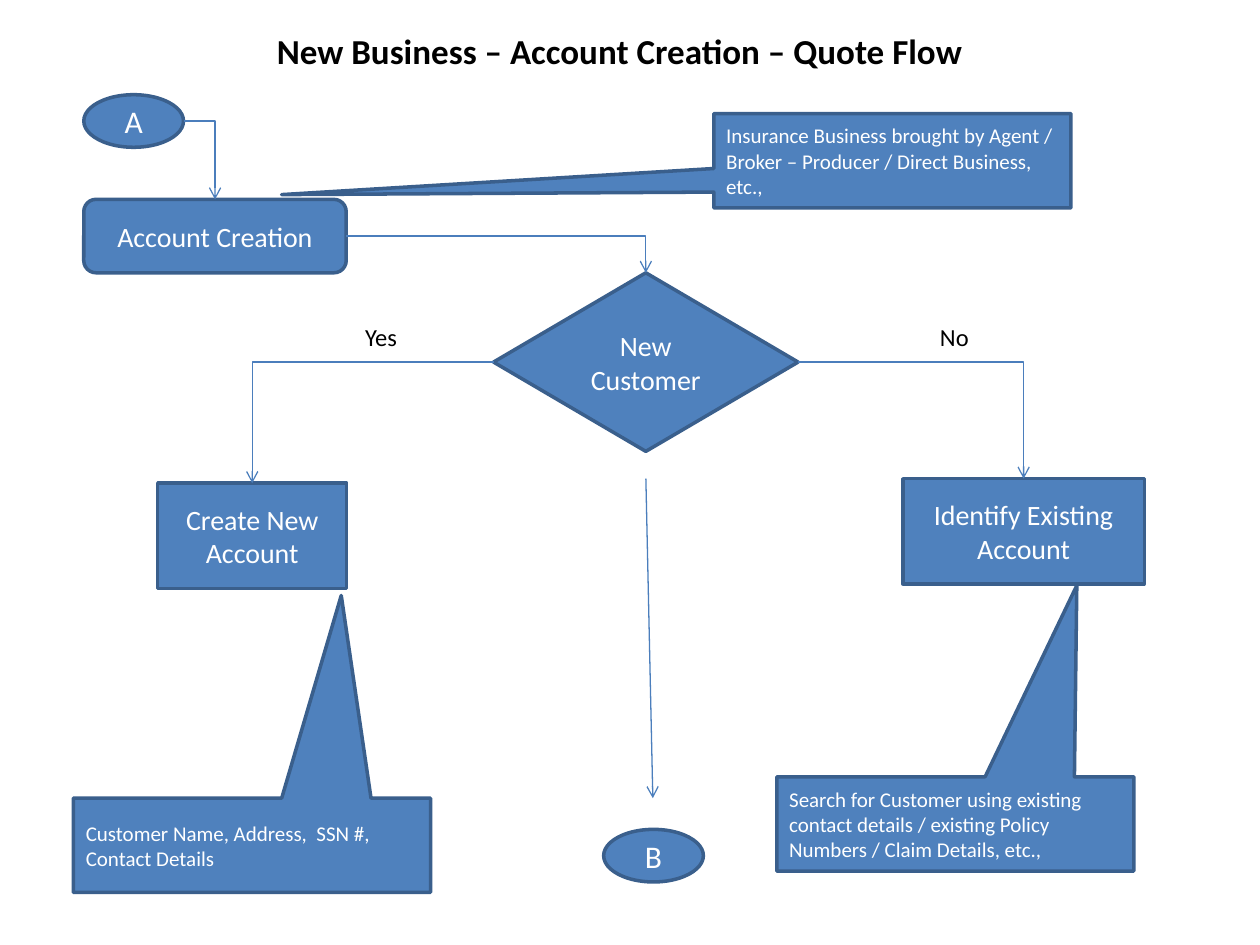
from lxml import etree
from pptx import Presentation
from pptx.dml.color import RGBColor
from pptx.enum.shapes import MSO_CONNECTOR, MSO_SHAPE
from pptx.enum.text import MSO_ANCHOR, PP_ALIGN
from pptx.oxml.ns import qn
from pptx.util import Cm, Pt

COLORS = {
    "fill": "4F81BD",
    "border": "3A5F8C",
    "arrow": "4B7EBC",
    "light": "FFFFFF",
    "dark": "000000",
}
FONT = "Calibri"
TOP, LEFT, RIGHT = 0, 1, 3  # connection sites of a box


def rgb(name):
    """Return the named colour."""
    return RGBColor.from_string(COLORS[name])


class FlowSlide:
    """Draws flowchart elements on one slide in one style."""

    def __init__(self, prs):
        """Add a title-only slide."""
        self.s = prs.slides.add_slide(prs.slide_layouts[5])

    def set_text(self, tf, text, size, color="light", align=PP_ALIGN.CENTER, bold=False):
        """Put one formatted paragraph in a text frame."""
        tf.word_wrap = True
        tf.vertical_anchor = MSO_ANCHOR.MIDDLE
        p = tf.paragraphs[0]
        p.text = text
        p.alignment = align
        p.font.name, p.font.size, p.font.bold = FONT, Pt(size), bold
        p.font.color.rgb = rgb(color)

    def title(self, text, x, y, w, h):
        """Place and fill the title placeholder."""
        sp = self.s.shapes.title
        sp.left, sp.top, sp.width, sp.height = Cm(x), Cm(y), Cm(w), Cm(h)
        self.set_text(sp.text_frame, text, 20, "dark", bold=True)

    def node(self, kind, text, x, y, w, h, size=16, align=PP_ALIGN.CENTER):
        """Add a filled flowchart shape."""
        sp = self.s.shapes.add_shape(kind, Cm(x), Cm(y), Cm(w), Cm(h))
        sp.shadow.inherit = False
        sp.fill.solid()
        sp.fill.fore_color.rgb = rgb("fill")
        sp.line.color.rgb = rgb("border")
        sp.line.width = Pt(2)
        self.set_text(sp.text_frame, text, size, align=align)
        return sp

    def terminal(self, text, x, y):
        """Add an off-page ellipse."""
        return self.node(MSO_SHAPE.OVAL, text, x, y, 2.01, 1.06, 18)

    def callout(self, text, x, y, tip):
        """Add a note whose tip is offset from its centre by fractions of its size."""
        sp = self.node(MSO_SHAPE.RECTANGULAR_CALLOUT, text, x, y, 7.2, 1.9, 12, PP_ALIGN.LEFT)
        sp.adjustments[0], sp.adjustments[1] = tip

    def label(self, text, x, y):
        """Add a branch label."""
        tf = self.s.shapes.add_textbox(Cm(x), Cm(y), Cm(1.5), Cm(0.7)).text_frame
        tf.margin_left = tf.margin_right = tf.margin_top = tf.margin_bottom = 0
        self.set_text(tf, text, 14, "dark", PP_ALIGN.LEFT)

    def arrow(self, kind, x1, y1, x2, y2):
        """Add a thin connector with an open arrowhead."""
        cxn = self.s.shapes.add_connector(kind, x1, y1, x2, y2)
        cxn.line.color.rgb = rgb("arrow")
        cxn.line.width = Pt(0.75)
        props = cxn.element.spPr
        etree.SubElement(props.find(qn("a:ln")), qn("a:tailEnd"), type="arrow")
        etree.SubElement(props, qn("a:effectLst"))
        return cxn

    def link(self, start, end, side=RIGHT):
        """Lead from a side of one node, by one bend, to the top of another."""
        x = start.left + (start.width if side == RIGHT else 0)
        y = start.top + start.height // 2
        cxn = self.arrow(MSO_CONNECTOR.ELBOW, x, y, end.left + end.width // 2, end.top)
        cxn.element.spPr.find(qn("a:prstGeom")).set("prst", "bentConnector2")
        if start.auto_shape_type != MSO_SHAPE.OVAL:
            cxn.begin_connect(start, side)
        cxn.end_connect(end, TOP)


def main():
    """Build the flowchart slide."""
    prs = Presentation()
    prs.slide_width, prs.slide_height = Cm(25.4), Cm(19.05)
    flow = FlowSlide(prs)
    flow.title("New Business – Account Creation – Quote Flow", 1.06, 0.13, 22.86, 1.78)

    entry = flow.terminal("A", 1.69, 1.91)
    flow.terminal("B", 12.17, 16.72)
    account = flow.node(MSO_SHAPE.ROUNDED_RECTANGLE, "Account Creation", 1.69, 4.02, 5.29, 1.48)
    decision = flow.node(MSO_SHAPE.FLOWCHART_DECISION, "New Customer", 9.95, 5.5, 6.14, 3.6)
    create = flow.node(MSO_SHAPE.FLOWCHART_PROCESS, "Create New Account", 3.18, 9.74, 3.81, 2.12)
    identify = flow.node(
        MSO_SHAPE.FLOWCHART_PROCESS, "Identify Existing Account", 18.2, 9.65, 4.87, 2.12)

    flow.link(entry, account)
    flow.link(account, decision)
    flow.link(decision, create, LEFT)
    flow.link(decision, identify)
    flow.arrow(MSO_CONNECTOR.STRAIGHT, Cm(13.02), Cm(9.65), Cm(13.16), Cm(16.09))
    flow.label("Yes", 7.36, 6.43)
    flow.label("No", 18.95, 6.43)

    flow.callout("Customer Name, Address,  SSN #, Contact Details", 1.48, 16.09, (0.25, -2.65))
    flow.callout(
        "Search for Customer using existing contact details / existing Policy Numbers"
        " / Claim Details, etc.,", 15.66, 15.66, (0.34, -2.53))
    flow.callout(
        "Insurance Business brought by Agent / Broker – Producer / Direct Business, etc.,",
        14.39, 2.29, (-1.71, 0.36))
    prs.save("out.pptx")


main()
